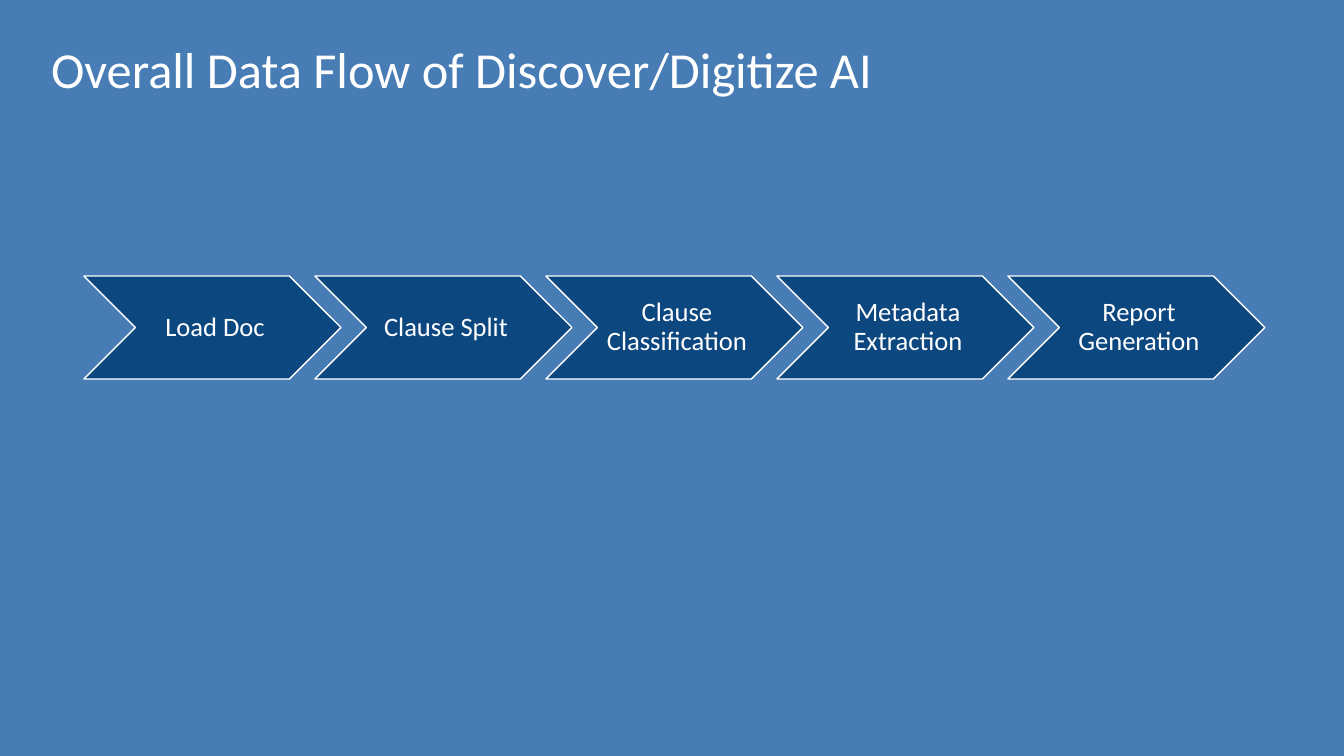
from pptx import Presentation
from pptx.dml.color import RGBColor
from pptx.enum.shapes import MSO_SHAPE
from pptx.enum.text import MSO_ANCHOR, PP_ALIGN
from pptx.util import Pt

EMU_PER_PX = 914400 / 100.8
SKY = RGBColor(0x47, 0x7C, 0xB5)
NAVY = RGBColor(0x0D, 0x47, 0x80)
WHITE = RGBColor(0xFF, 0xFF, 0xFF)

STEPS = ["Load Doc", "Clause Split", "Clause Classification",
         "Metadata Extraction", "Report Generation"]
STEP_LEFT, STEP_TOP, STEP_PITCH = 84, 276, 231
STEP_WIDTH, STEP_HEIGHT = 257, 103


def px(length):
    return round(length * EMU_PER_PX)


def style_text(frame, size, alignment, anchor):
    frame.word_wrap = True
    frame.vertical_anchor = anchor
    paragraph = frame.paragraphs[0]
    paragraph.alignment = alignment
    paragraph.line_spacing = 0.9
    font = paragraph.runs[0].font
    font.name = "Calibri"
    font.size = Pt(size)
    font.color.rgb = WHITE


deck = Presentation()
deck.slide_width, deck.slide_height = px(1344), px(756)
slide = deck.slides.add_slide(deck.slide_layouts[5])
slide.background.fill.solid()
slide.background.fill.fore_color.rgb = SKY

title = slide.shapes.title
title.left, title.top, title.width, title.height = px(41), px(40), px(1265), px(83)
title.text_frame.text = "Overall Data Flow of Discover/Digitize AI"
style_text(title.text_frame, 36, PP_ALIGN.LEFT, MSO_ANCHOR.TOP)

for index, label in enumerate(STEPS):
    step = slide.shapes.add_shape(
        MSO_SHAPE.CHEVRON, px(STEP_LEFT + index * STEP_PITCH), px(STEP_TOP),
        px(STEP_WIDTH), px(STEP_HEIGHT))
    step.shadow.inherit = False
    step.fill.solid()
    step.fill.fore_color.rgb = NAVY
    step.line.color.rgb = WHITE
    step.line.width = Pt(1)
    frame = step.text_frame
    frame.text = label
    frame.margin_left = px(8)
    frame.margin_right = frame.margin_top = frame.margin_bottom = px(3)
    style_text(frame, 19, PP_ALIGN.CENTER, MSO_ANCHOR.MIDDLE)

deck.save("out.pptx")
